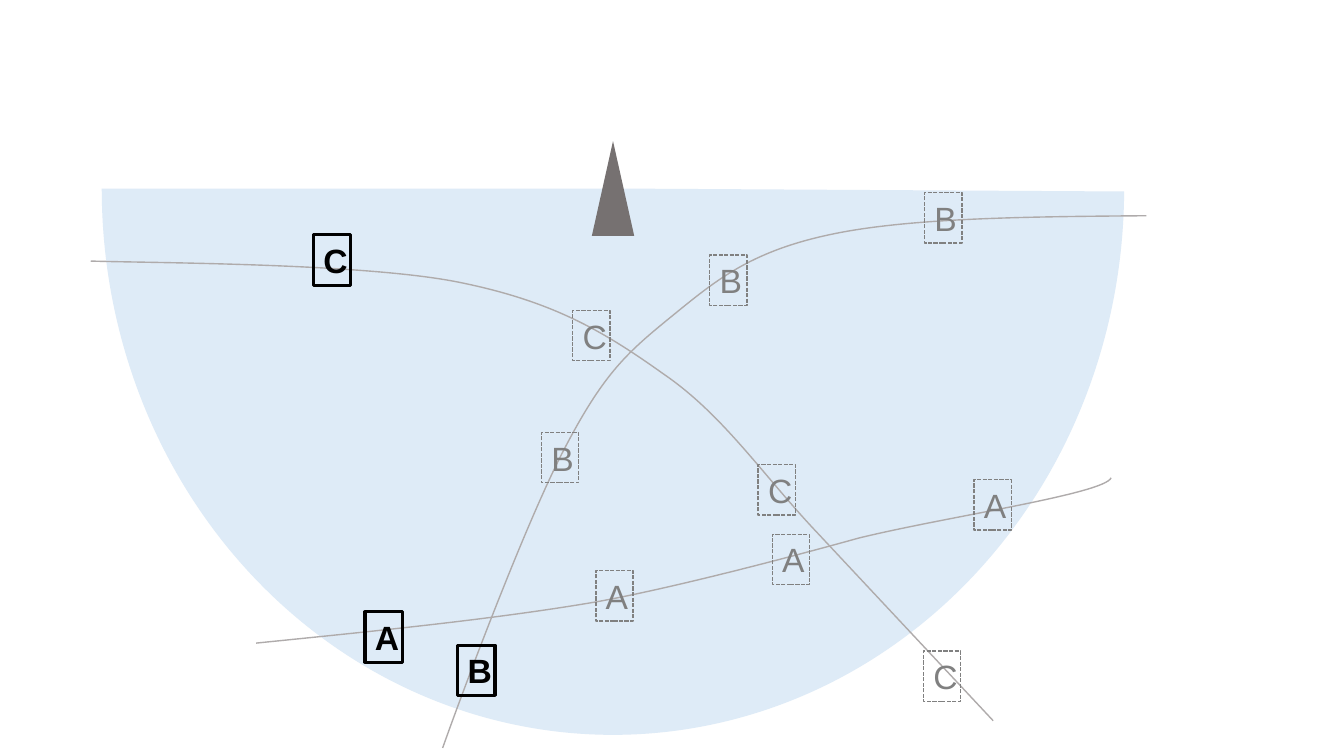
"""Build a slide of three tracks crossing a semicircular field, with lettered positions."""
import dataclasses

import pptx
import pptx.dml.color
import pptx.enum.dml
import pptx.enum.shapes
import pptx.enum.text
import pptx.oxml.ns
import pptx.util
from pptx.util import Inches

RGBColor = pptx.dml.color.RGBColor
MSO_SHAPE = pptx.enum.shapes.MSO_SHAPE
FIELD = RGBColor(0xDE, 0xEB, 0xF7)
TRACK = RGBColor(0xAF, 0xAB, 0xAB)
MARKER = RGBColor(0x76, 0x71, 0x71)
GREY = RGBColor(0x80, 0x80, 0x80)
BLACK = RGBColor(0, 0, 0)
BOX_W, BOX_H = 0.37, 0.5

Point = tuple[float, float]


@dataclasses.dataclass(frozen=True)
class Track:
    """A lettered track: cubic curve points, its current box and its other boxes."""
    letter: str
    curve: list[Point]
    current: Point
    others: list[Point]


TRACKS = [
    Track("A",
          [(2.54, 6.38), (3.73, 6.26), (4.93, 6.14), (5.92, 5.97),
           (6.91, 5.79), (8.51, 5.34), (8.51, 5.34),
           (9.36, 5.13), (10.96, 4.9), (11.02, 4.74)],
          (3.62, 6.07), [(5.91, 5.66), (7.66, 5.3), (9.66, 4.76)]),
    Track("C",
          [(9.85, 7.15), (9.85, 7.15), (8.11, 5.29), (8.11, 5.29),
           (7.57, 4.72), (7.18, 4.12), (6.58, 3.71),
           (5.99, 3.29), (5.49, 2.99), (4.55, 2.8),
           (3.6, 2.61), (1.51, 2.61), (0.9, 2.59)],
          (3.11, 2.33), [(5.68, 3.08), (7.52, 4.61), (9.16, 6.46)]),
    Track("B",
          [(11.37, 2.14), (10.18, 2.15), (9, 2.16), (8.22, 2.33),
           (7.43, 2.5), (7.09, 2.79), (6.66, 3.14),
           (6.23, 3.49), (6, 3.69), (5.62, 4.41),
           (5.24, 5.12), (4.61, 6.8), (4.39, 7.42)],
          (4.54, 6.4), [(5.37, 4.29), (7.04, 2.53), (9.17, 1.91)]),
]


def add_solid(slide, kind, left: float, top: float, width: float, height: float, color):
    """Add a filled preset shape without outline."""
    sp = slide.shapes.add_shape(kind, Inches(left), Inches(top), Inches(width), Inches(height))
    sp.shadow.inherit = False
    sp.fill.solid()
    sp.fill.fore_color.rgb = color
    sp.line.fill.background()
    return sp


def add_curve(slide, points: list[Point]) -> None:
    """Draw a chain of cubic curves, three points to each segment after the start."""
    start, *rest = [(Inches(x), Inches(y)) for x, y in points]
    builder = slide.shapes.build_freeform(*start)
    builder.add_line_segments(rest, close=False)
    sp = builder.convert_to_shape()
    sp.shadow.inherit = False
    sp.fill.background()
    sp.line.color.rgb = TRACK
    sp.line.width = pptx.util.Pt(1)
    qn = pptx.oxml.ns.qn
    steps = list(sp.element.iter(qn("a:lnTo")))
    for i in range(0, len(steps), 3):
        bezier = steps[i].makeelement(qn("a:cubicBezTo"))
        steps[i].addprevious(bezier)
        for step in steps[i:i + 3]:
            bezier.append(step[0])
            step.getparent().remove(step)


def set_text(sp, text: str, *, size: float, color, bold: bool = False) -> None:
    """Write one centred run into a shape that grows with its text."""
    tf = sp.text_frame
    tf.word_wrap = True
    tf.auto_size = pptx.enum.text.MSO_AUTO_SIZE.SHAPE_TO_FIT_TEXT
    p = tf.paragraphs[0]
    p.alignment = pptx.enum.text.PP_ALIGN.CENTER
    r = p.add_run()
    r.text = text
    r.font.name = "Arial"
    r.font.size = pptx.util.Pt(size)
    r.font.bold = bold
    r.font.color.rgb = color


def add_box(slide, letter: str, at: Point, current: bool) -> None:
    """Add a lettered box, bold and solid when current, otherwise grey and dashed."""
    left, top = at
    color = BLACK if current else GREY
    sp = slide.shapes.add_shape(MSO_SHAPE.RECTANGLE, Inches(left), Inches(top),
                                Inches(BOX_W), Inches(BOX_H))
    sp.shadow.inherit = False
    sp.fill.background()
    sp.line.color.rgb = color
    sp.line.width = pptx.util.Pt(2.25 if current else 1)
    if not current:
        sp.line.dash_style = pptx.enum.dml.MSO_LINE.SQUARE_DOT
    set_text(sp, letter, size=24, color=color, bold=current)


def main() -> None:
    """Assemble and save the slide."""
    prs = pptx.Presentation()
    prs.slide_width, prs.slide_height = Inches(13.33), Inches(7.5)
    s = prs.slides.add_slide(prs.slide_layouts[6])
    field = add_solid(s, MSO_SHAPE.PIE, 0.66, -3.2, 10.84, 10.14, FIELD)
    field.adjustments[0], field.adjustments[1] = 54.2, 162
    field.rotation = 270
    for track in TRACKS:
        add_curve(s, track.curve)
    add_solid(s, MSO_SHAPE.ISOSCELES_TRIANGLE, 5.87, 1.4, 0.42, 0.94, MARKER)
    for track in TRACKS:
        for at in track.others:
            add_box(s, track.letter, at, current=False)
        add_box(s, track.letter, track.current, current=True)
    prs.save("out.pptx")


main()
